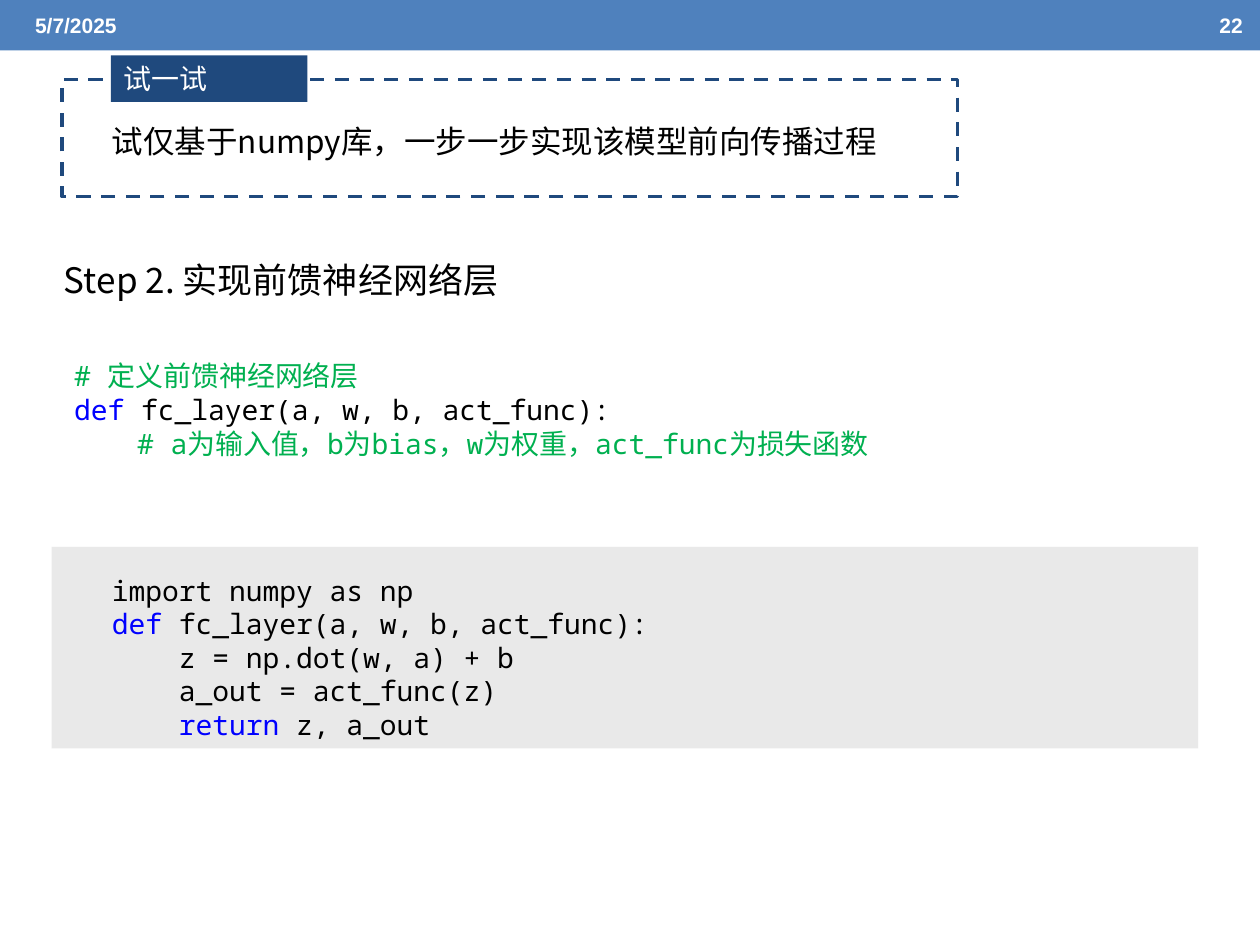
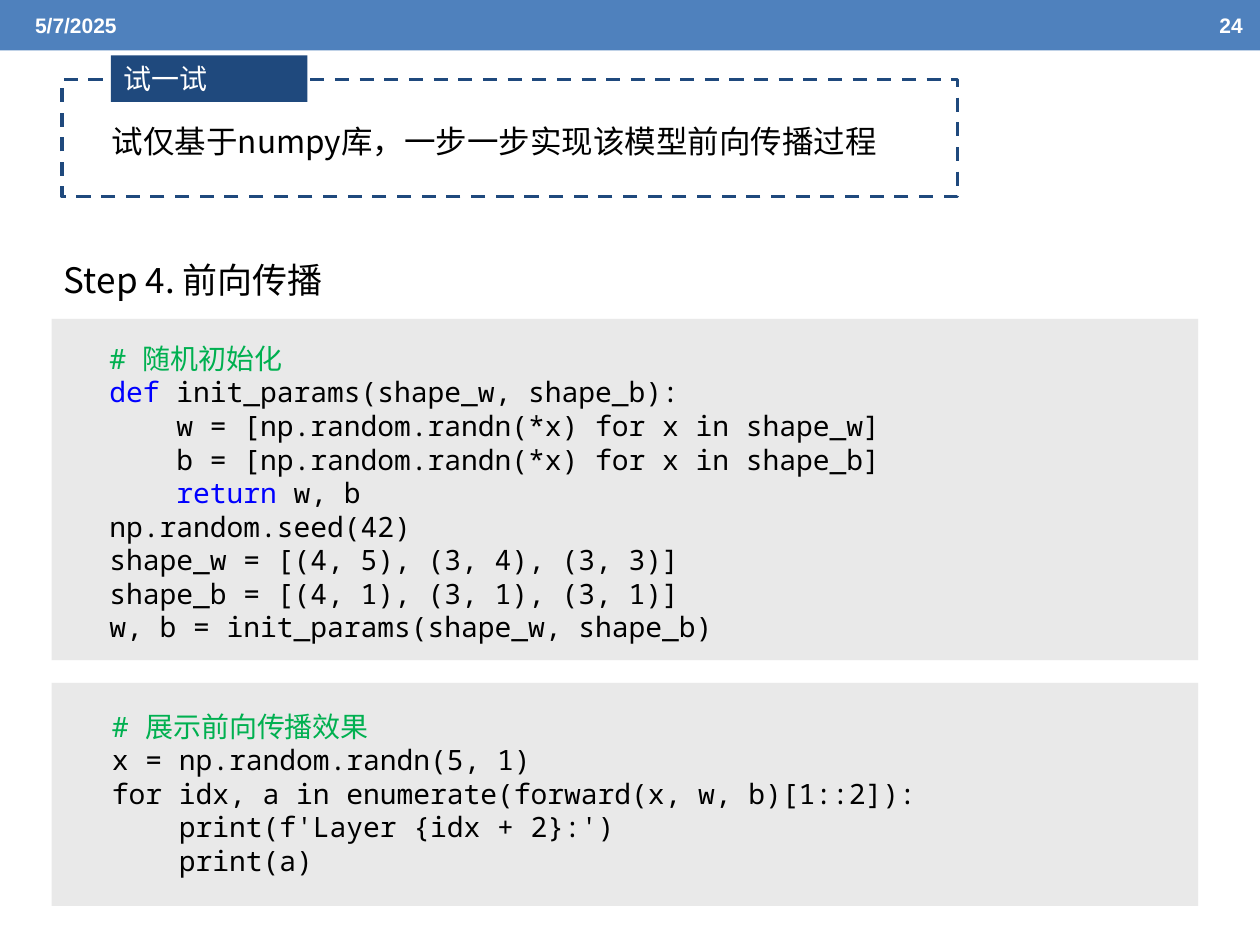
from lxml import etree
from pptx import Presentation
from pptx.dml.color import RGBColor
from pptx.enum.dml import MSO_LINE
from pptx.enum.shapes import MSO_SHAPE
from pptx.enum.text import MSO_ANCHOR, PP_ALIGN
from pptx.oxml.ns import qn
from pptx.util import Inches, Pt

# Content
DATE = "5/7/2025"
LABEL = "试一试"
TASK = "试仅基于numpy库，一步一步实现该模型前向传播过程"

# Each code block: panel (top, height) or None, text (left, top, width), lines
PAGES = [
    {
        "number": "22",
        "step": "Step 2. 实现前馈神经网络层",
        "blocks": [
            (None, (0.49, 2.8, 8.2), [
                "# 定义前馈神经网络层",
                "def fc_layer(a, w, b, act_func):",
                "\t# a为输入值，b为bias，w为权重，act_func为损失函数",
            ]),
            ((4.34, 1.6), (0.79, 4.5, 8.63), [
                "import numpy as np",
                "def fc_layer(a, w, b, act_func):",
                "    z = np.dot(w, a) + b",
                "    a_out = act_func(z)",
                "    return z, a_out",
            ]),
        ],
    },
    {
        "number": "24",
        "step": "Step 4. 前向传播",
        "blocks": [
            ((2.53, 2.71), (0.77, 2.66, 8.63), [
                "# 随机初始化",
                "def init_params(shape_w, shape_b):",
                "    w = [np.random.randn(*x) for x in shape_w]",
                "    b = [np.random.randn(*x) for x in shape_b]",
                "    return w, b",
                "np.random.seed(42)",
                "shape_w = [(4, 5), (3, 4), (3, 3)]",
                "shape_b = [(4, 1), (3, 1), (3, 1)]",
                "w, b = init_params(shape_w, shape_b)",
            ]),
            ((5.42, 1.77), (0.79, 5.58, 8.63), [
                "# 展示前向传播效果",
                "x = np.random.randn(5, 1)",
                "for idx, a in enumerate(forward(x, w, b)[1::2]):",
                "    print(f'Layer {idx + 2}:')",
                "    print(a)",
            ]),
        ],
    },
]

# Shared style
BAND_BLUE = RGBColor(0x4F, 0x81, 0xBD)
NAVY = RGBColor(0x1F, 0x49, 0x7D)
PANEL_GREY = RGBColor(0xBF, 0xBF, 0xBF)
COMMENT_GREEN = RGBColor(0x00, 0xB0, 0x50)
KEYWORD_BLUE = RGBColor(0x00, 0x00, 0xFF)
BLACK = RGBColor(0, 0, 0)
WHITE = RGBColor(0xFF, 0xFF, 0xFF)
HEADER_FONT, TEXT_FONT, CODE_FONT = "Arial", "Noto Sans CJK SC", "Noto Sans Mono"
KEYWORDS = ("def", "return")
RECTANGLE, DASH = MSO_SHAPE.RECTANGLE, MSO_LINE.DASH
TOP, MIDDLE, LEFT = MSO_ANCHOR.TOP, MSO_ANCHOR.MIDDLE, PP_ALIGN.LEFT

WIDTH, HEIGHT = 10, 7.5
BAND_HEIGHT = 0.4
PANEL_LEFT, PANEL_WIDTH, PANEL_ALPHA = 0.41, 9.1, 34
CODE_SIZE, CODE_LINE = 16, 0.27
INSET = 0.05


def style_run(span, font, size, colour, bold=False):
    span.font.name, span.font.size, span.font.bold = font, Pt(size), bold
    span.font.color.rgb = colour
    east_asian = etree.SubElement(span.font._element, qn("a:ea"))
    east_asian.set("typeface", TEXT_FONT)


def indent(para, inches):
    properties = para._p.get_or_add_pPr()
    properties.set("marL", str(Inches(inches)))
    properties.set("indent", "0")


def add_rectangle(page, place, fill=None, alpha=None):
    box = page.shapes.add_shape(RECTANGLE, *map(Inches, place))
    box.shadow.inherit = False
    box.line.fill.background()
    if fill is None:
        box.fill.background()
    else:
        box.fill.solid()
        box.fill.fore_color.rgb = fill
    if alpha is not None:
        colour = box.fill._xPr.find(".//" + qn("a:srgbClr"))
        etree.SubElement(colour, qn("a:alpha")).set("val", str(alpha * 1000))
    return box


def write(box, text, font, size, colour, bold=False, anchor=TOP):
    frame = box.text_frame
    frame.word_wrap = True
    frame.vertical_anchor = anchor
    frame.text = text
    para = frame.paragraphs[0]
    para.alignment = LEFT
    style_run(para.runs[0], font, size, colour, bold)
    return para


def add_text(page, place, *style, **options):
    box = page.shapes.add_textbox(*map(Inches, place))
    return write(box, *style, **options)


def colour_code(line):
    """Split a line of code into coloured spans."""
    body = line.lstrip()
    if body.startswith("#"):
        return [(body, COMMENT_GREEN)]
    word = body.split(" ")[0]
    if word in KEYWORDS:
        margin = line[:len(line) - len(body)]
        spans = [(margin, BLACK), (word, KEYWORD_BLUE), (body[len(word):], BLACK)]
        return [span for span in spans if span[0]]
    return [(line, BLACK)]


def add_code(page, panel, place, lines):
    if panel:
        top, height = panel
        add_rectangle(page, (PANEL_LEFT, top, PANEL_WIDTH, height),
                      PANEL_GREY, PANEL_ALPHA)
    height = len(lines) * CODE_LINE + 2 * INSET
    frame = page.shapes.add_textbox(*map(Inches, (*place, height))).text_frame
    frame.word_wrap = True
    for row, line in enumerate(lines):
        para = frame.add_paragraph() if row else frame.paragraphs[0]
        if line.startswith("\t"):
            indent(para, 0.5)
        for text, colour in colour_code(line):
            span = para.add_run()
            span.text = text
            style_run(span, CODE_FONT, CODE_SIZE, colour)


def add_header(page, number):
    add_rectangle(page, (0, 0, WIDTH, BAND_HEIGHT), BAND_BLUE)
    for text, left, width in ((DATE, 0.18, 3.17), (number, 9.58, 0.42)):
        add_text(page, (left, 0.02, width, 0.36), text, HEADER_FONT, 12, WHITE,
                 bold=True, anchor=MIDDLE)


def add_task(page):
    frame = add_rectangle(page, (0.49, 0.63, 7.11, 0.93))
    frame.line.color.rgb = NAVY
    frame.line.width = Pt(2)
    frame.line.dash_style = DASH
    indent(add_text(page, (0.49, 0.92, 7.64, 0.75), TASK, TEXT_FONT, 18, BLACK), 0.3)
    label = add_rectangle(page, (0.88, 0.44, 1.56, 0.37), NAVY)
    write(label, LABEL, TEXT_FONT, 16, WHITE, anchor=MIDDLE)


def main():
    deck = Presentation()
    deck.slide_width, deck.slide_height = Inches(WIDTH), Inches(HEIGHT)
    for content in PAGES:
        page = deck.slides.add_slide(deck.slide_layouts[6])
        add_header(page, content["number"])
        add_task(page)
        add_text(page, (0.41, 2, 9.17, 0.5), content["step"], TEXT_FONT, 20, BLACK)
        for block in content["blocks"]:
            add_code(page, *block)
    deck.save("out.pptx")


if __name__ == "__main__":
    main()
